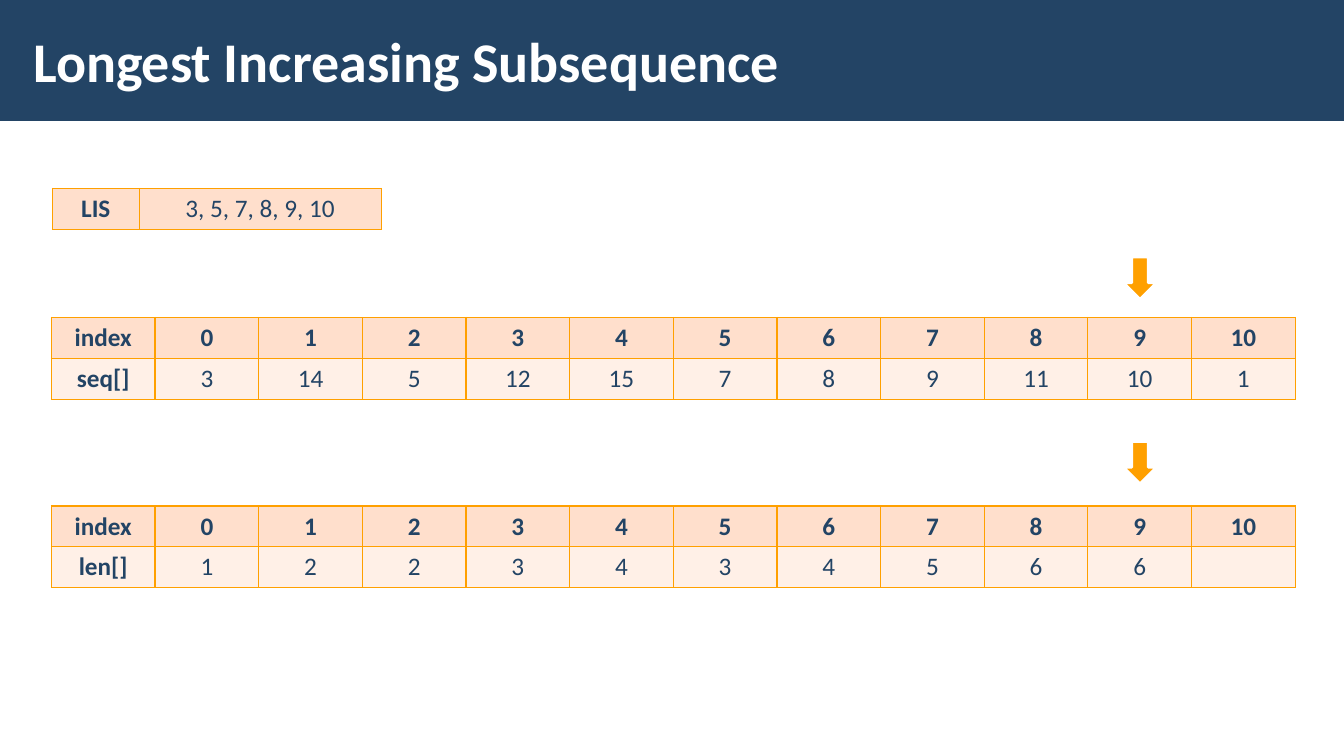
from lxml.etree import SubElement
from pptx import Presentation
from pptx.dml.color import RGBColor
from pptx.enum.shapes import MSO_SHAPE
from pptx.enum.text import MSO_ANCHOR, PP_ALIGN
from pptx.oxml.ns import qn
from pptx.util import Inches, Pt

NAVY = RGBColor(0x23, 0x44, 0x65)
WHITE = RGBColor(0xFF, 0xFF, 0xFF)
ORANGE = RGBColor(0xFF, 0xA0, 0x00)
PEACH = RGBColor(0xFF, 0xDF, 0xCC)
LIGHT_PEACH = RGBColor(0xFF, 0xF0, 0xE7)

# Grid shared by the two sequence tables, in inches
GRID_LEFT = 0.51
COLUMNS = 12
COLUMN_WIDTH = 12.34 / COLUMNS
ROW_HEIGHT = 0.405
CURRENT_INDEX = 9


def add_text(frame, text, size, color, bold):
    span = frame.paragraphs[0].add_run()
    span.text = text
    span.font.name = "Calibri"
    span.font.size = Pt(size)
    span.font.bold = bold
    span.font.color.rgb = color


def add_grid(page, left, top, widths, rows):
    table = page.shapes.add_table(
        len(rows), len(widths), Inches(left), Inches(top),
        Inches(sum(widths)), Inches(ROW_HEIGHT * len(rows))).table
    for column, width in zip(table.columns, widths):
        column.width = Inches(width)
    for row_number, values in enumerate(rows):
        is_index = values[0] == "index"
        for column_number, value in enumerate(values):
            cell = table.cell(row_number, column_number)
            properties = cell._tc.get_or_add_tcPr()
            for side in ("a:lnL", "a:lnR", "a:lnT", "a:lnB"):
                border = SubElement(properties, qn(side), w=str(Pt(1)))
                paint = SubElement(border, qn("a:solidFill"))
                SubElement(paint, qn("a:srgbClr"), val=str(ORANGE))
            cell.fill.solid()
            cell.fill.fore_color.rgb = PEACH if row_number == 0 else LIGHT_PEACH
            cell.text_frame.paragraphs[0].alignment = PP_ALIGN.CENTER
            if value:
                add_text(cell.text_frame, value, 18, NAVY,
                         is_index or column_number == 0)


deck = Presentation()
deck.slide_width = Inches(13.33)
deck.slide_height = Inches(7.5)
page = deck.slides.add_slide(deck.slide_layouts[6])

# Title band
band = page.shapes.add_shape(
    MSO_SHAPE.RECTANGLE, 0, 0, deck.slide_width, Inches(1.2))
band.shadow.inherit = False
band.fill.solid()
band.fill.fore_color.rgb = NAVY
band.line.fill.background()

title = page.shapes.add_textbox(
    Inches(0.21), Inches(0.11), Inches(10.63), Inches(0.97))
frame = title.text_frame
frame.word_wrap = True
frame.vertical_anchor = MSO_ANCHOR.MIDDLE
frame.margin_left = frame.margin_right = Inches(0.12)
frame.margin_top = frame.margin_bottom = Inches(0.04)
add_text(frame, "Longest Increasing Subsequence", 40, WHITE, True)

# Sequence and length tables, each with an arrow over the current index
index_row = ["index"] + [str(index) for index in range(COLUMNS - 1)]
arrow_center = GRID_LEFT + (CURRENT_INDEX + 1.5) * COLUMN_WIDTH
arrow_width, arrow_height = 0.33, 0.42
for table_top, arrow_top, values in (
    (3.15, 2.55, "seq[] 3 14 5 12 15 7 8 9 11 10 1".split()),
    (5.02, 4.38, "len[] 1 2 2 3 4 3 4 5 6 6".split() + [""]),
):
    arrow = page.shapes.add_shape(
        MSO_SHAPE.DOWN_ARROW, Inches(arrow_center - arrow_width / 2),
        Inches(arrow_top), Inches(arrow_width), Inches(arrow_height))
    arrow.shadow.inherit = False
    arrow.fill.solid()
    arrow.fill.fore_color.rgb = ORANGE
    arrow.line.color.rgb = WHITE
    arrow.line.width = Pt(2)
    add_grid(page, GRID_LEFT, table_top, [COLUMN_WIDTH] * COLUMNS,
             [index_row, values])

# Resulting subsequence
add_grid(page, 0.52, 1.87, [0.86, 2.4], [["LIS", "3, 5, 7, 8, 9, 10"]])

deck.save("out.pptx")
